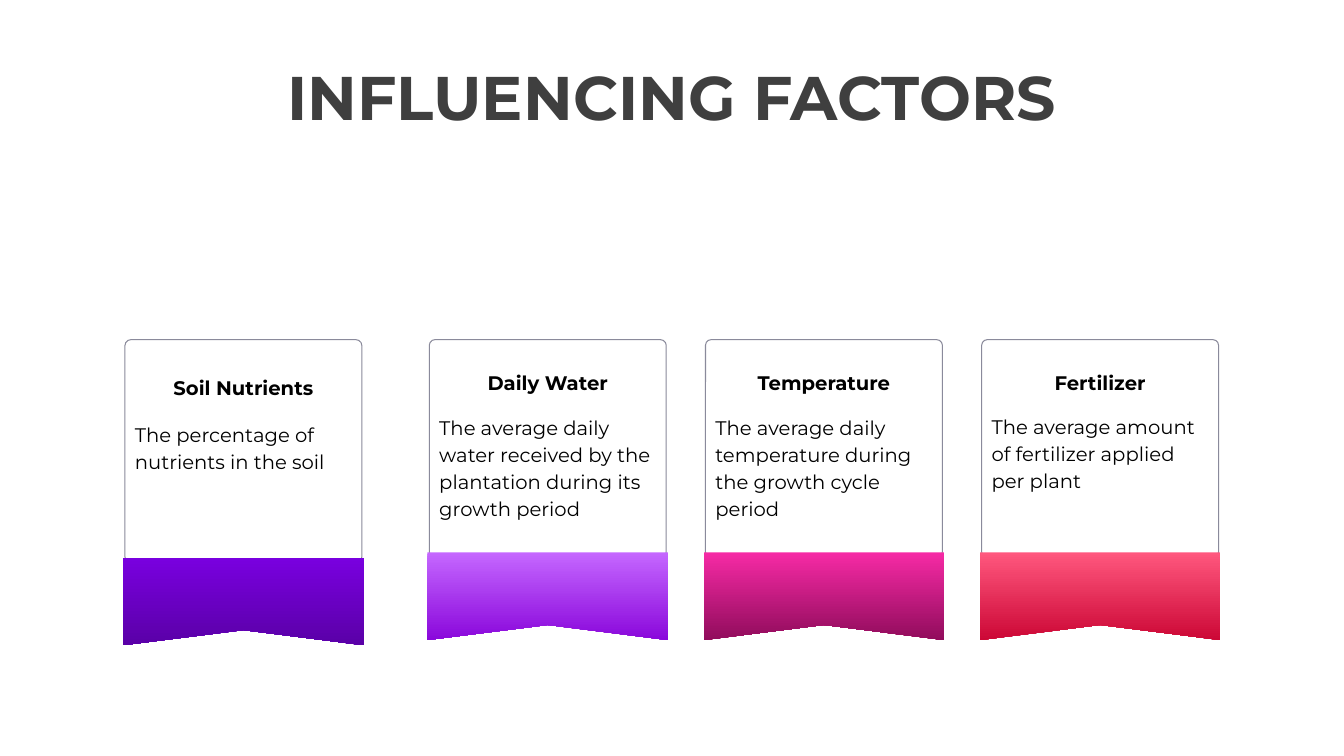
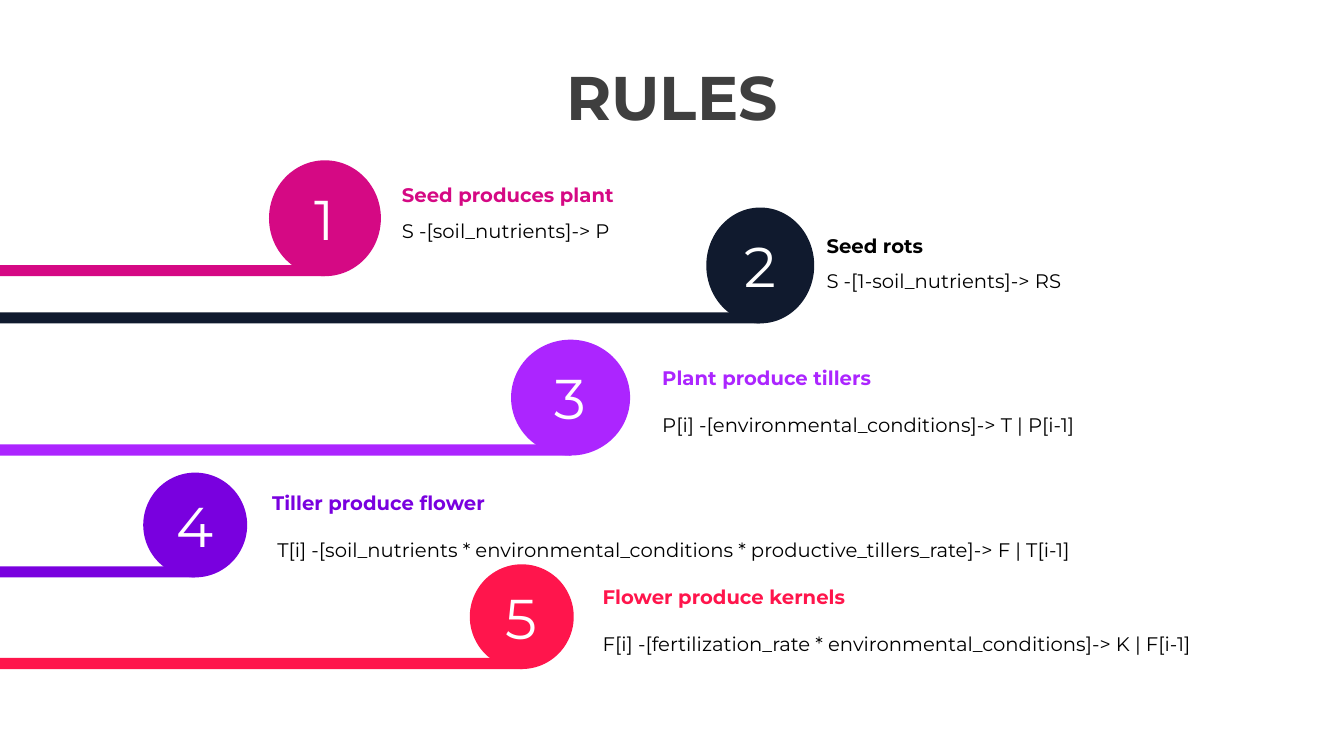
from dataclasses import dataclass

from pptx import Presentation
from pptx.dml.color import RGBColor
from pptx.enum.shapes import MSO_SHAPE
from pptx.enum.text import MSO_ANCHOR, PP_ALIGN
from pptx.util import Cm, Pt

# Shared style
FONT = "Montserrat"
BLACK = RGBColor(0x00, 0x00, 0x00)
WHITE = RGBColor(0xFF, 0xFF, 0xFF)
TITLE_GRAY = RGBColor(0x3F, 0x3F, 0x3F)
BORDER_GRAY = RGBColor(0x8A, 0x8A, 0x9B)
NAVY = RGBColor(0x10, 0x1A, 0x2E)
MAGENTA = RGBColor(0xD5, 0x09, 0x84)
VIOLET = RGBColor(0xAC, 0x25, 0xFF)
PURPLE = RGBColor(0x79, 0x00, 0xDF)
DARK_PURPLE = RGBColor(0x5A, 0x00, 0xA7)
LILAC = RGBColor(0xC5, 0x67, 0xFF)
DEEP_VIOLET = RGBColor(0x8A, 0x08, 0xDB)
PINK = RGBColor(0xF6, 0x2A, 0xA5)
DARK_PINK = RGBColor(0x91, 0x0C, 0x5C)
CORAL = RGBColor(0xFF, 0x57, 0x7E)
CRIMSON = RGBColor(0xCC, 0x08, 0x36)
RED = RGBColor(0xFF, 0x15, 0x4C)

SLIDE_WIDTH, SLIDE_HEIGHT = 33.87, 19.05
BODY_SIZE = 14

# Factor cards
CARD_TOP, CARD_WIDTH, CARD_HEIGHT = 8.56, 5.97, 5.49
FIRST_CARD_LEFT = 3.15
NEXT_CARD_LEFT, CARD_PITCH = 10.82, 6.96
RIBBON_OVERHANG, RIBBON_HEIGHT, NOTCH_HEIGHT = 0.05, 2.21, 0.38

# Rule rows
BAR_HEIGHT = 0.28
LABEL_HEIGHT = 0.89


@dataclass
class Factor:
    heading: str
    description: str
    ribbon_colors: tuple
    description_offset: float = 1.7
    drop: float = 0


@dataclass
class Rule:
    label: str
    formula: str
    color: RGBColor
    circle: tuple  # left, top, width, height
    label_at: tuple  # left, top
    widths: tuple  # label, formula
    label_color: RGBColor = None
    spacing: float = 1.5


FACTORS = [
    Factor("Soil Nutrients", "The percentage of nutrients in the soil",
           (PURPLE, DARK_PURPLE), 1.88, 0.13),
    Factor("Daily Water",
           "The average daily water received by the plantation during its growth period",
           (LILAC, DEEP_VIOLET)),
    Factor("Temperature", "The average daily temperature during the growth cycle period",
           (PINK, DARK_PINK)),
    Factor("Fertilizer", "The average amount of fertilizer applied per plant",
           (CORAL, CRIMSON), 1.67),
]

RULES = [
    Rule("Seed produces plant", "S -[soil_nutrients]-> P", MAGENTA,
         (6.78, 4.04, 2.82, 2.92), (9.8, 4.45), (7.92, 9.8), spacing=1),
    Rule("Seed rots", "S -[1-soil_nutrients]-> RS", NAVY,
         (17.8, 5.23, 2.72, 2.92), (20.5, 5.72), (6.32, 7.01), BLACK, 1),
    Rule("Plant produce tillers", "P[i] -[environmental_conditions]-> T | P[i-1]", VIOLET,
         (12.88, 8.56, 3, 2.92), (16.36, 9.04), (7.26, 15.34)),
    Rule("Tiller produce flower",
         " T[i] -[soil_nutrients * environmental_conditions * productive_tillers_rate]-> F | T[i-1]",
         PURPLE, (3.61, 11.91, 2.62, 2.64), (6.53, 12.19), (8.03, 25.73)),
    Rule("Flower produce kernels",
         "F[i] -[fertilization_rate * environmental_conditions]-> K | F[i-1]", RED,
         (11.84, 14.22, 2.62, 2.64), (14.86, 14.58), (15.34, 16.05)),
]


def write(shape, text, size, color, bold=False, align=PP_ALIGN.LEFT, spacing=1,
          anchor=MSO_ANCHOR.TOP, insets=(0.25, 0.13)):
    frame = shape.text_frame
    frame.word_wrap = True
    frame.vertical_anchor = anchor
    frame.margin_left = frame.margin_right = Cm(insets[0])
    frame.margin_top = frame.margin_bottom = Cm(insets[1])
    paragraph = frame.paragraphs[0]
    paragraph.text = text
    paragraph.alignment = align
    paragraph.line_spacing = spacing
    font = paragraph.font
    font.name, font.size, font.bold = FONT, Pt(size), bold
    font.color.rgb = color


def add_text(slide, left, top, width, height, text, size, color, **style):
    box = slide.shapes.add_textbox(Cm(left), Cm(top), Cm(width), Cm(height))
    write(box, text, size, color, **style)


def add_solid(slide, kind, left, top, width, height, color):
    shape = slide.shapes.add_shape(kind, Cm(left), Cm(top), Cm(width), Cm(height))
    shape.shadow.inherit = False
    shape.fill.solid()
    shape.fill.fore_color.rgb = color
    shape.line.fill.background()
    return shape


def add_titled_slide(presentation, title):
    slide = presentation.slides.add_slide(presentation.slide_layouts[6])
    add_text(slide, 0, 1.6, SLIDE_WIDTH, 1.85, title, 44, TITLE_GRAY, bold=True,
             align=PP_ALIGN.CENTER, spacing=0.9, anchor=MSO_ANCHOR.MIDDLE)
    return slide


def add_ribbon(slide, left, top, width, colors):
    bottom = top + RIBBON_HEIGHT
    outline = [(left + width, top), (left + width, bottom),
               (left + width / 2, bottom - NOTCH_HEIGHT), (left, bottom)]
    builder = slide.shapes.build_freeform(Cm(left), Cm(top))
    builder.add_line_segments([(Cm(x), Cm(y)) for x, y in outline], close=True)
    ribbon = builder.convert_to_shape()
    ribbon.shadow.inherit = False
    ribbon.line.fill.background()
    ribbon.fill.gradient()
    ribbon.fill.gradient_angle = 270
    for stop, position, color in zip(ribbon.fill.gradient_stops, (0, 1), colors):
        stop.position = position
        stop.color.rgb = color


def add_factor_card(slide, left, top, factor):
    # Outline
    height = CARD_HEIGHT + factor.drop
    card = slide.shapes.add_shape(MSO_SHAPE.ROUNDED_RECTANGLE, Cm(left), Cm(top),
                                  Cm(CARD_WIDTH), Cm(height))
    card.adjustments[0] = 0.026
    card.shadow.inherit = False
    card.fill.background()
    card.line.color.rgb = BORDER_GRAY
    card.line.width = Pt(0.75)
    # Ribbon over the lower edge
    add_ribbon(slide, left - RIBBON_OVERHANG, top + height - 0.13,
               CARD_WIDTH + 2 * RIBBON_OVERHANG, factor.ribbon_colors)
    # Heading and description
    add_text(slide, left, top + 0.53 + factor.drop, CARD_WIDTH, 1.11, factor.heading,
             BODY_SIZE, BLACK, bold=True, align=PP_ALIGN.CENTER, insets=(0.25, 0.25))
    add_text(slide, left, top + factor.description_offset, CARD_WIDTH, 2.95,
             factor.description, BODY_SIZE, BLACK, spacing=1.15)


def add_rule(slide, number, rule):
    # Numbered circle with a bar running in from the slide edge
    left, top, width, height = rule.circle
    circle = add_solid(slide, MSO_SHAPE.OVAL, left, top, width, height, rule.color)
    write(circle, str(number), 40, WHITE, align=PP_ALIGN.CENTER, anchor=MSO_ANCHOR.MIDDLE)
    add_solid(slide, MSO_SHAPE.RECTANGLE, 0, top + height - BAR_HEIGHT,
              left + width / 2, BAR_HEIGHT, rule.color)
    # Label and formula
    text_left, label_top = rule.label_at
    label_width, formula_width = rule.widths
    insets = (0.33, 0.17)
    add_text(slide, text_left, label_top, label_width, LABEL_HEIGHT, rule.label,
             BODY_SIZE, rule.label_color or rule.color, bold=True, insets=insets)
    add_text(slide, text_left, label_top + LABEL_HEIGHT, formula_width, 1.07, rule.formula,
             BODY_SIZE, BLACK, spacing=rule.spacing, insets=insets)


def build_factors_slide(presentation):
    slide = add_titled_slide(presentation, "INFLUENCING FACTORS")
    lefts = [FIRST_CARD_LEFT] + [NEXT_CARD_LEFT + i * CARD_PITCH for i in range(3)]
    for left, factor in zip(lefts, FACTORS):
        add_factor_card(slide, left, CARD_TOP, factor)


def build_rules_slide(presentation):
    slide = add_titled_slide(presentation, "RULES")
    for number, rule in enumerate(RULES, start=1):
        add_rule(slide, number, rule)


def main():
    presentation = Presentation()
    presentation.slide_width = Cm(SLIDE_WIDTH)
    presentation.slide_height = Cm(SLIDE_HEIGHT)
    build_factors_slide(presentation)
    build_rules_slide(presentation)
    presentation.save("out.pptx")


if __name__ == "__main__":
    main()
